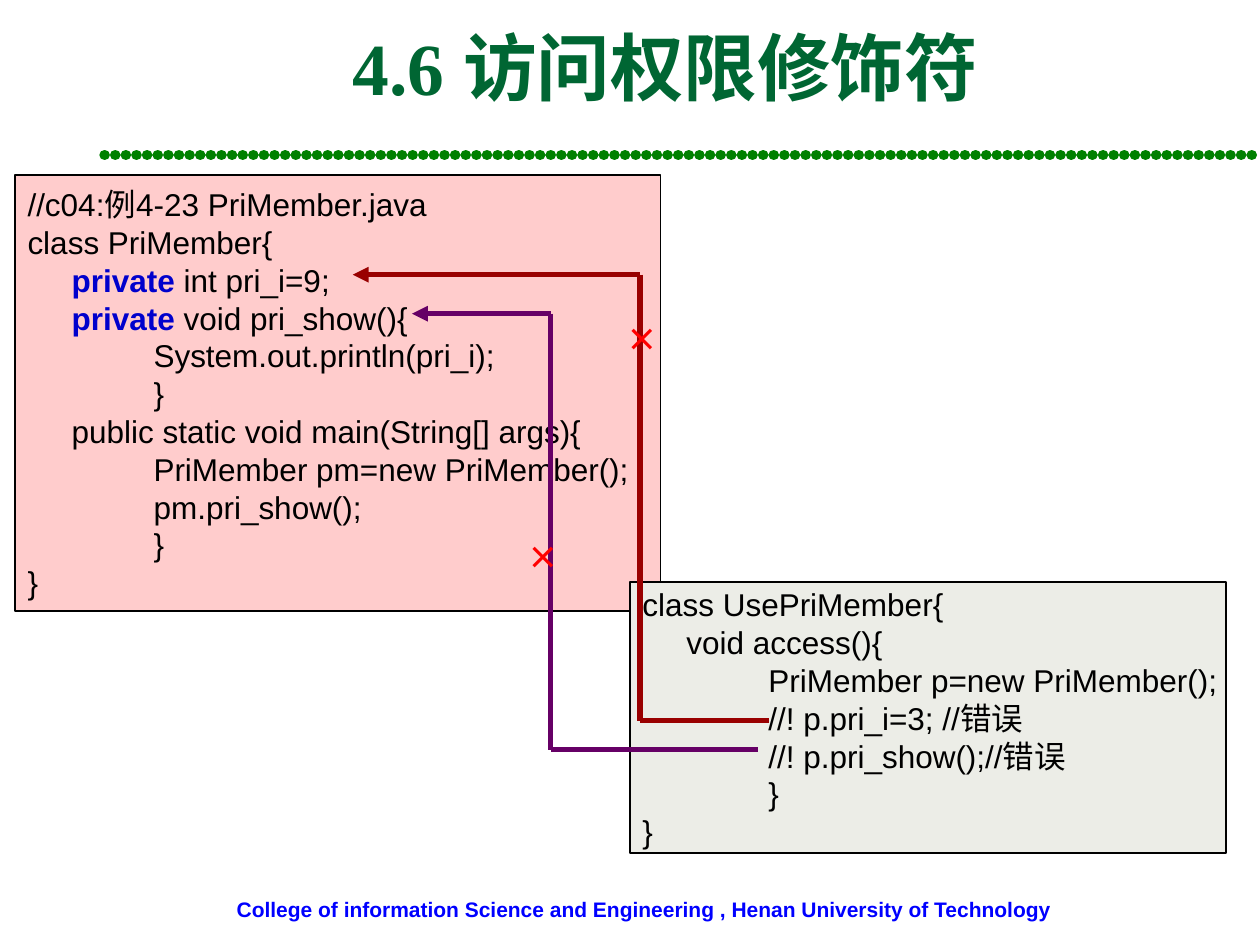
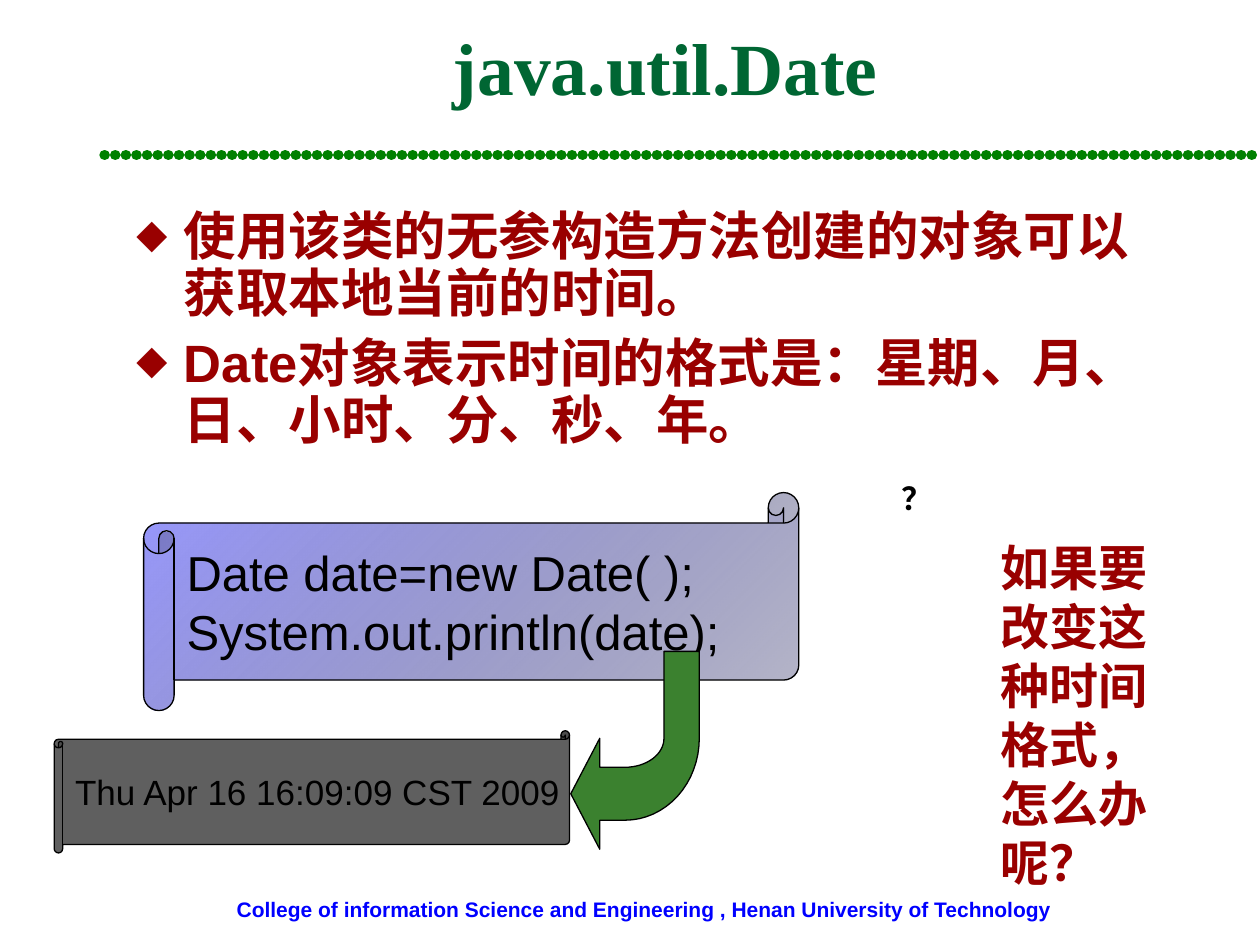
"""Build two slides on Java access modifiers and dates."""
from dataclasses import dataclass
from math import cos, pi, sin

from pptx import Presentation
from pptx import util as u
from pptx.dml.color import RGBColor
from pptx.enum import shapes, text
from pptx.oxml.ns import qn
from lxml import etree

HUES = {
    "ink": "000000", "title": "006633", "rule": "008000", "foot": "0000FF",
    "key": "0000CC", "pink": "FFCCCC", "sand": "ECEDE7", "maroon": "990000",
    "plum": "660066", "red": "FF0000", "lilac": "9999FF", "navy": "474776",
    "grey": "5F5F5F", "leaf": "3B812F",
}
SANS, SERIF, CJK = "Arial", "Times New Roman", "Noto Sans CJK SC"
INSETS = {"margin_left": u.Inches(0.1), "margin_right": u.Inches(0.1),
          "margin_top": u.Inches(0.05), "margin_bottom": u.Inches(0.05)}
MID = text.MSO_ANCHOR.MIDDLE
TOP = text.MSO_ANCHOR.TOP
LEFT = text.PP_ALIGN.LEFT
CENTER = text.PP_ALIGN.CENTER
KIND = shapes.MSO_SHAPE


@dataclass
class Look:
    """Format of a run of text."""
    size: float
    hue: str = "ink"
    bold: bool = False
    face: str = SANS


@dataclass
class Line:
    """One line of code: indent step, keyword and the rest."""
    step: int
    rest: str
    key: str = ""


@dataclass
class Panel:
    """A filled shape that holds lines of code."""
    kind: int
    place: tuple
    fill: str
    size: float
    lines: list
    bend: float = 0


@dataclass
class Route:
    """A bent arrow through points, with its head at the first."""
    hue: str
    points: list


STEPS = (0, 0.35, 1)
MEMBER = Panel(KIND.RECTANGLE, (0.12, 1.39, 5.12, 3.46), "pink", 18, [
    Line(0, "//c04:例4-23 PriMember.java"),
    Line(0, "class PriMember{"),
    Line(1, " int pri_i=9;", "private"),
    Line(1, " void pri_show(){", "private"),
    Line(2, "System.out.println(pri_i);"),
    Line(2, "}"),
    Line(1, "public static void main(String[] args){"),
    Line(2, "PriMember pm=new PriMember();"),
    Line(2, "pm.pri_show();"),
    Line(2, "}"),
    Line(0, "}"),
])
USER = Panel(KIND.RECTANGLE, (5, 4.62, 4.73, 2.15), "sand", 18, [
    Line(0, "class UsePriMember{"),
    Line(1, "void access(){"),
    Line(2, "PriMember p=new PriMember();"),
    Line(2, "//! p.pri_i=3; //错误"),
    Line(2, "//! p.pri_show();//错误"),
    Line(2, "}"),
    Line(0, "}"),
])
CALL = Panel(KIND.HORIZONTAL_SCROLL, (1.14, 3.91, 5.2, 1.73), "lilac", 28, [
    Line(0, "Date date=new Date( );"),
    Line(0, "System.out.println(date);"),
], 0.14)
RESULT = Panel(KIND.HORIZONTAL_SCROLL, (0.43, 5.8, 4.09, 0.97), "grey", 20, [
    Line(0, "Thu Apr 16 16:09:09 CST 2009"),
], 0.07)
ROUTES = [
    Route("maroon", [(2.8, 2.18), (5.08, 2.18), (5.08, 5.72), (6.1, 5.72)]),
    Route("plum", [(3.27, 2.49), (4.37, 2.49), (4.37, 5.95), (6.02, 5.95)]),
]
POINTS = ["使用该类的无参构造方法创建的对象可以获取本地当前的时间。",
          "Date对象表示时间的格式是：星期、月、日、小时、分、秒、年。"]


def put(item, **values) -> None:
    """Set attributes of an item from format values."""
    for name, value in values.items():
        setattr(item, name, value)


def rgb(hue: str) -> RGBColor:
    """Give the colour behind a hue name."""
    return RGBColor.from_string(HUES[hue])


def sub(node, tag: str, **attrs):
    """Append a drawing element to a node."""
    return etree.SubElement(node, qn("a:" + tag), attrs)


def box(place: tuple) -> list:
    """Turn a place in inches into lengths."""
    return [u.Inches(n) for n in place]


def move(item, place: tuple) -> None:
    """Set the place of a placeholder."""
    put(item, **dict(zip(("left", "top", "width", "height"), box(place))))


def write(para, words: str, look: Look):
    """Add a formatted run to a paragraph."""
    run = para.add_run()
    run.text = words
    put(run.font, size=u.Pt(look.size), bold=look.bold, name=look.face)
    run.font.color.rgb = rgb(look.hue)
    sub(run.font._element, "ea", typeface=CJK)
    return run


def trace(run, hue: str, width: float) -> None:
    """Outline the letters of a run."""
    props = run.font._element
    line = sub(props, "ln", w=str(u.Pt(width)))
    sub(sub(line, "solidFill"), "srgbClr", val=HUES[hue])
    props.insert(0, line)


def label(slide, place: tuple, words: str, look: Look,
          wrap: bool = False, anchor=TOP, align=LEFT):
    """Add a text box with one run and return the run."""
    frame = slide.shapes.add_textbox(*box(place)).text_frame
    put(frame, word_wrap=wrap, vertical_anchor=anchor, **INSETS)
    frame.paragraphs[0].alignment = align
    return write(frame.paragraphs[0], words, look)


def link(slide, start: tuple, end: tuple, hue: str, width: float):
    """Draw a straight line and return its line element."""
    wire = slide.shapes.add_connector(
        shapes.MSO_CONNECTOR.STRAIGHT, *box(start + end))
    wire.line.color.rgb = rgb(hue)
    wire.line.width = u.Pt(width)
    sub(wire._element.spPr, "effectLst")
    return wire.line._get_or_add_ln()


def route(slide, path: Route) -> None:
    """Draw a bent arrow."""
    for i, (start, end) in enumerate(zip(path.points, path.points[1:])):
        line = link(slide, start, end, path.hue, 3)
        if i == 0:
            sub(line, "headEnd", type="triangle")


def edge(shape, fill: str) -> None:
    """Give a shape a flat fill and a thin black line."""
    shape.shadow.inherit = False
    shape.fill.solid()
    shape.fill.fore_color.rgb = rgb(fill)
    shape.line.color.rgb = rgb("ink")
    shape.line.width = u.Pt(0.74)


def panel(slide, data: Panel):
    """Draw a panel of code lines."""
    shape = slide.shapes.add_shape(data.kind, *box(data.place))
    edge(shape, data.fill)
    if data.bend:
        shape.adjustments[0] = data.bend
    frame = shape.text_frame
    put(frame, word_wrap=False, vertical_anchor=MID, **INSETS)
    for i, line in enumerate(data.lines):
        para = frame.add_paragraph() if i else frame.paragraphs[0]
        para.alignment = LEFT
        para._p.get_or_add_pPr().set("marL", str(u.Inches(STEPS[line.step])))
        if line.key:
            write(para, line.key, Look(data.size, "key", True))
        write(para, line.rest, Look(data.size))
    return shape


def shade(shape) -> None:
    """Fade a shape from lilac to a clear navy."""
    shape.fill.gradient()
    shape.fill.gradient_angle = 315
    stops = shape.fill.gradient_stops
    for stop, hue, spot in zip(stops, ("lilac", "navy"), (0, 1)):
        stop.color.rgb = rgb(hue)
        stop.position = spot
    last = stops[1]._gs.find(qn("a:srgbClr"))
    sub(last, "alpha", val="39000")


def arc(rx: float, ry: float, back: bool = False) -> list:
    """Give points on a quarter turn from below to the right."""
    turns = [pi / 2 * i / 16 for i in range(17)]
    dots = [(4.96 + rx * sin(t), 5.86 + ry * cos(t)) for t in turns]
    return dots[::-1] if back else dots


def bent(slide) -> None:
    """Draw the curved block arrow."""
    dots = [(4.53, 6.3), (4.76, 6.74), (4.76, 6.51), *arc(0.59, 0.65),
            (5.55, 5.17), (5.27, 5.17), *arc(0.31, 0.23, True),
            (4.76, 6.09), (4.76, 5.86)]
    spots = [box(dot) for dot in dots]
    pen = slide.shapes.build_freeform(*spots[0])
    pen.add_line_segments(spots[1:], close=True)
    edge(pen.convert_to_shape(), "leaf")


def start(deck, layout: int, title: str):
    """Add a slide with its title, dotted rule and footer."""
    slide = deck.slides.add_slide(deck.slide_layouts[layout])
    label(slide, (1.78, 7.07, 6.68, 0.3),
          "College of information Science and Engineering , "
          "Henan University of Technology", Look(12, "foot", True))
    rule = link(slide, (0.83, 1.23), (10, 1.23), "rule", 6)
    rule.set("cap", "rnd")
    sub(sub(rule, "custDash"), "ds", d="100000", sp="1000")
    head = slide.shapes.title
    move(head, (1.06, 0.13, 8.44, 0.93))
    frame = head.text_frame
    put(frame, auto_size=text.MSO_AUTO_SIZE.NONE, vertical_anchor=MID,
        margin_bottom=u.Inches(0.19))
    frame.paragraphs[0].alignment = CENTER
    write(frame.paragraphs[0], title, Look(42, "title", True, SERIF))
    return slide


def bullets(slide) -> None:
    """Fill the body with diamond bullets."""
    body = slide.placeholders[1]
    move(body, (0.98, 1.62, 8.36, 2.32))
    frame = body.text_frame
    frame.auto_size = text.MSO_AUTO_SIZE.NONE
    for i, words in enumerate(POINTS):
        para = frame.add_paragraph() if i else frame.paragraphs[0]
        put(para, line_spacing=0.9, space_before=u.Pt(7.5))
        props = para._p.get_or_add_pPr()
        hang = u.Inches(0.38)
        props.set("marL", str(hang))
        props.set("indent", str(-hang))
        sub(sub(props, "buClr"), "srgbClr", val=HUES["maroon"])
        sub(props, "buSzPct", val="60000")
        sub(props, "buFont", typeface=CJK)
        sub(props, "buChar", char="◆")
        write(para, words, Look(30, "maroon", True))


def access(deck) -> None:
    """Build the slide on access modifiers."""
    slide = start(deck, 5, "4.6 访问权限修饰符")
    for data in (MEMBER, USER):
        panel(slide, data)
    for path in ROUTES:
        route(slide, path)
    for x, y in ((4.84, 2.49), (4.06, 4.22)):
        cross = label(slide, (x, y, 0.51, 0.5), "×",
                      Look(18, "red", True, CJK), align=CENTER)
        trace(cross, "red", 2)


def date(deck) -> None:
    """Build the slide on the Date class."""
    slide = start(deck, 1, "java.util.Date")
    bullets(slide)
    shade(panel(slide, CALL))
    panel(slide, RESULT)
    bent(slide)
    mark = label(slide, (6.57, 3.75, 1.42, 2.68), "？",
                 Look(18, "ink", True, CJK), align=CENTER)
    trace(mark, "ink", 0.74)
    label(slide, (7.84, 4.22, 1.57, 2.9), "如果要改变这种时间格式，怎么办呢？",
          Look(28, "maroon", True), True, MID)


deck = Presentation()
put(deck, slide_width=u.Inches(10), slide_height=u.Inches(7.5))
access(deck)
date(deck)
deck.save("out.pptx")
